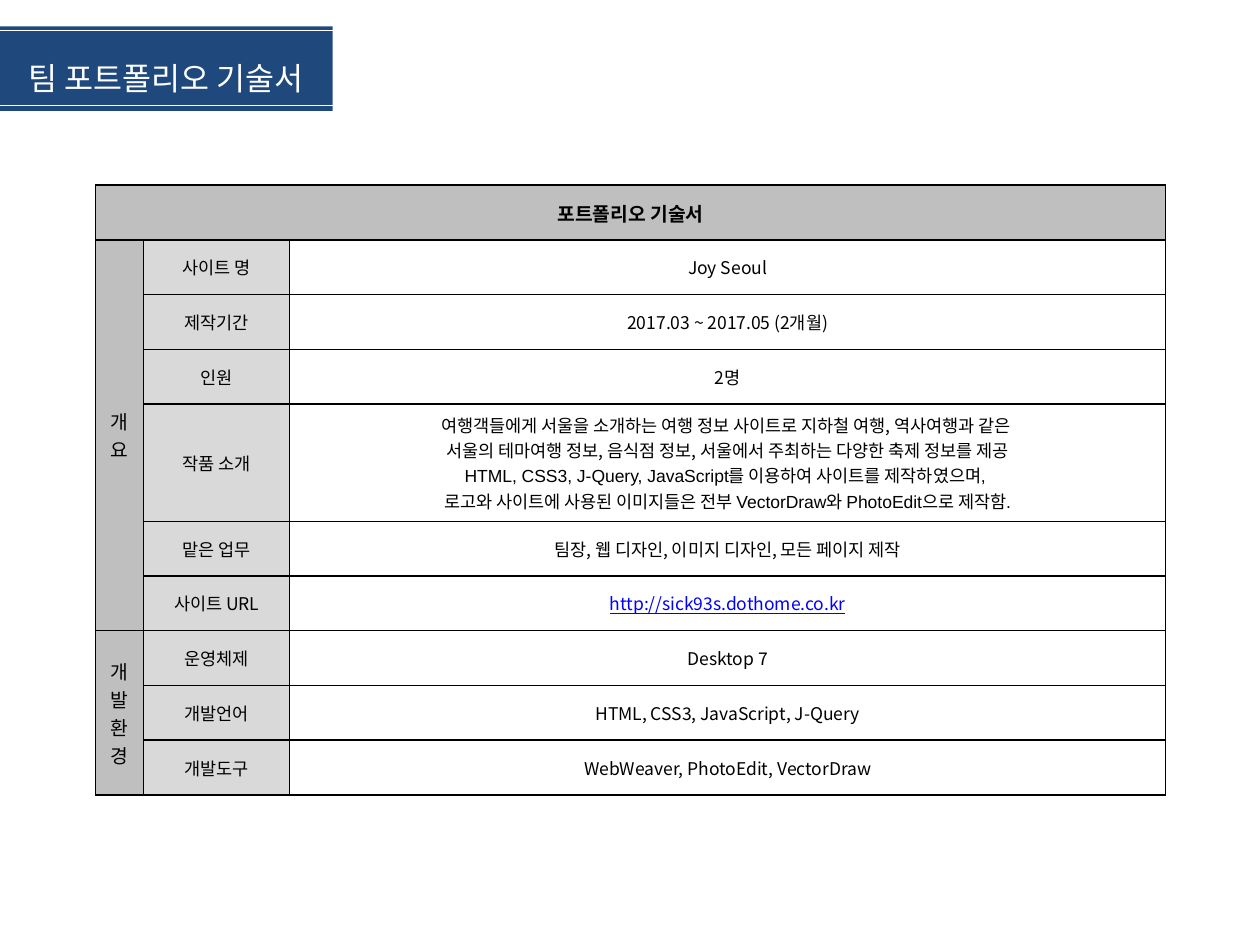
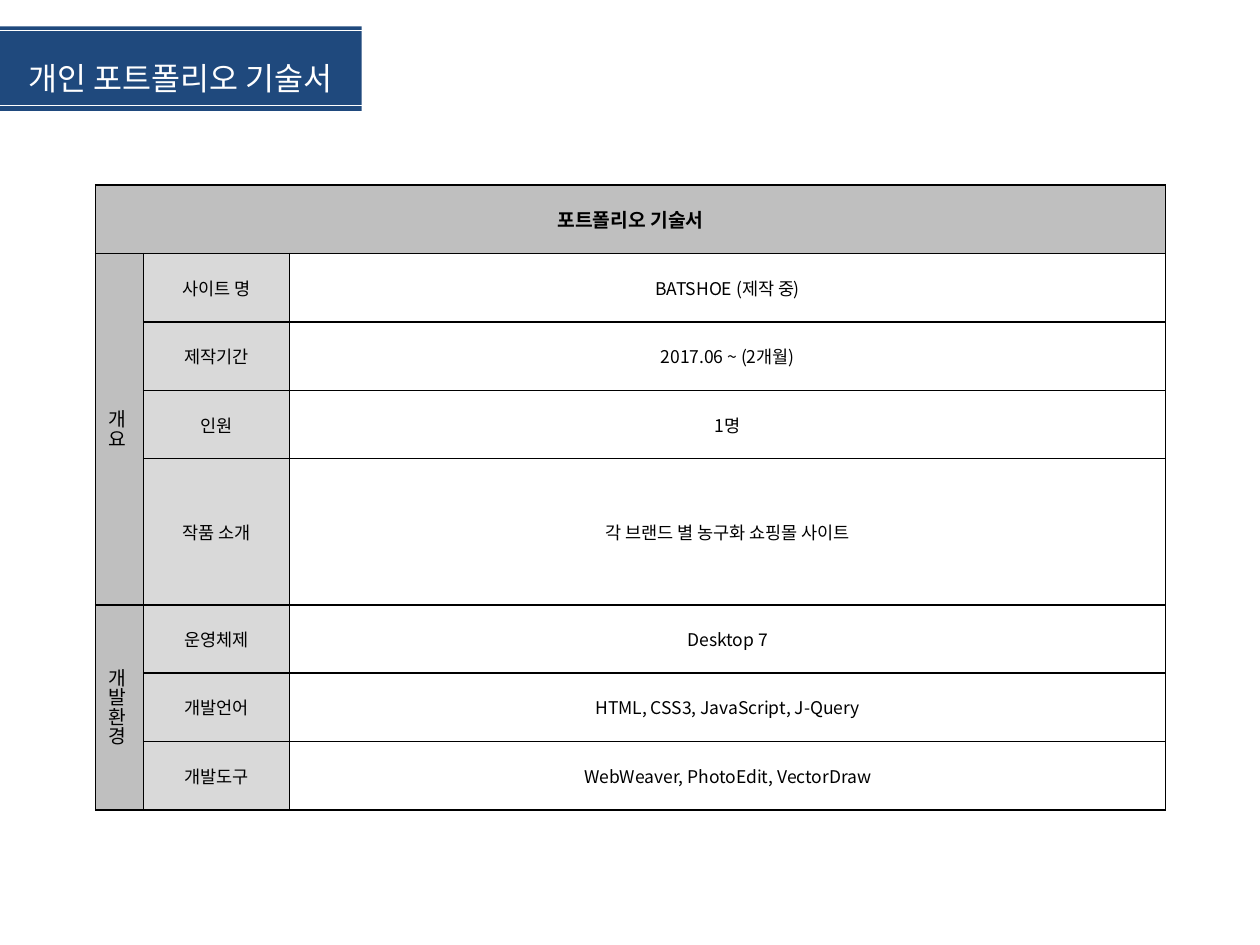
from lxml import etree
from pptx import Presentation
from pptx.dml.color import RGBColor
from pptx.enum import shapes, text
from pptx.oxml import parse_xml
from pptx.oxml.ns import nsdecls, qn
from pptx.util import Inches, Pt

COLORS = {"navy": "1F497D", "white": "FFFFFF", "black": "000000",
          "group": "BFBFBF", "label": "D9D9D9", "link": "0000FF"}
KOREAN = "Noto Sans CJK KR"
HEADING = "포트폴리오 기술서"
ENVIRONMENT = ("개발환경", [
    ("운영체제", ["Desktop 7"]),
    ("개발언어", ["HTML, CSS3, JavaScript, J-Query"]),
    ("개발도구", ["WebWeaver, PhotoEdit, VectorDraw"]),
])

PAGES = [
    {"title": "팀 포트폴리오 기술서", "band": 2.64, "height": 4.84, "intro": 0.93,
     "groups": [("개요", [
         ("사이트 명", ["Joy Seoul"]),
         ("제작기간", ["2017.03 ~ 2017.05 (2개월)"]),
         ("인원", ["2명"]),
         ("작품 소개", [
             "여행객들에게 서울을 소개하는 여행 정보 사이트로 지하철 여행, 역사여행과 같은 \n"
             "서울의 테마여행 정보, 음식점 정보, 서울에서 주최하는 다양한 축제 정보를 제공",
             "HTML, CSS3, J-Query, JavaScript를 이용하여 사이트를 제작하였으며, ",
             "로고와 사이트에 사용된 이미지들은 전부 VectorDraw와 PhotoEdit으로 제작함."]),
         ("맡은 업무", ["팀장, 웹 디자인, 이미지 디자인, 모든 페이지 제작"]),
         ("사이트 URL", ["http://sick93s.dothome.co.kr"]),
     ]), ENVIRONMENT]},
    {"title": "개인 포트폴리오 기술서", "band": 2.87, "height": 4.96, "intro": 1.16,
     "groups": [("개요", [
         ("사이트 명", ["BATSHOE (제작 중)"]),
         ("제작기간", ["2017.06 ~ (2개월)"]),
         ("인원", ["1명"]),
         ("작품 소개", ["각 브랜드 별 농구화 쇼핑몰 사이트"]),
     ]), ENVIRONMENT]},
]


def write(paragraph, words, size, color="black", latin=KOREAN, bold=False):
    paragraph.alignment = text.PP_ALIGN.CENTER
    for number, line in enumerate(words.split("\n")):
        if number:
            paragraph.add_line_break()
        run = paragraph.add_run()
        run.text = line
        run.font.size = Pt(size)
        run.font.bold = bold
        run.font.name = latin
        run.font.color.rgb = RGBColor.from_string(COLORS[color])
        run.font.underline = True if color == "link" else None
        etree.SubElement(run.font._element, qn("a:ea"), typeface=KOREAN)


def fill_cell(cell, paragraphs, fill=None, size=10, bold=False, vertical=False):
    cell.vertical_anchor = text.MSO_ANCHOR.MIDDLE
    cell.margin_left = cell.margin_right = Inches(0.11)
    cell.margin_top = cell.margin_bottom = Inches(0.06)
    if fill:
        cell.fill.solid()
        cell.fill.fore_color.rgb = RGBColor.from_string(COLORS[fill])
    else:
        cell.fill.background()
    if vertical:
        cell._tc.get_or_add_tcPr().set("vert", "eaVert")
    for number, words in enumerate(paragraphs):
        frame = cell.text_frame
        paragraph = frame.add_paragraph() if number else frame.paragraphs[0]
        latin = "Arial" if bold or number else KOREAN
        color = "link" if words.startswith("http") else "black"
        write(paragraph, words, size, color, latin, bold)


prs = Presentation()
prs.slide_width, prs.slide_height = Inches(10), Inches(7.5)

for page in PAGES:
    slide = prs.slides.add_slide(prs.slide_layouts[5])
    band = slide.shapes.title
    band.left, band.top = Inches(0), Inches(0.21)
    band.width, band.height = Inches(page["band"]), Inches(0.67)
    band.fill.solid()
    band.fill.fore_color.rgb = RGBColor.from_string(COLORS["navy"])
    band.text_frame.auto_size = text.MSO_AUTO_SIZE.NONE
    band.text_frame.vertical_anchor = text.MSO_ANCHOR.MIDDLE
    band.text_frame.paragraphs[0].line_spacing = 1.5
    write(band.text_frame.paragraphs[0], page["title"], 18, "white")

    for y in (0.24, 0.84):
        rule = slide.shapes.add_connector(shapes.MSO_CONNECTOR.STRAIGHT, Inches(0), Inches(y),
                                          Inches(page["band"]), Inches(y))
        rule.line.color.rgb = RGBColor.from_string(COLORS["white"])
        rule.line.width = Pt(0.75)
        etree.SubElement(rule._element.spPr, qn("a:effectLst"))

    row_count = 1 + sum(len(entries) for _, entries in page["groups"])
    table = slide.shapes.add_table(row_count, 3, Inches(0.76), Inches(1.47),
                                   Inches(8.49), Inches(page["height"])).table
    table.first_row = table.horz_banding = False
    for column, width in zip(table.columns, (0.38, 1.16, 6.95)):
        column.width = Inches(width)
    for row in table.rows:
        row.height = Inches((page["height"] - page["intro"]) / (row_count - 1))

    table.cell(0, 0).merge(table.cell(0, 2))
    fill_cell(table.cell(0, 0), [HEADING], "group", 11, bold=True)
    row = 1
    for group, entries in page["groups"]:
        table.cell(row, 0).merge(table.cell(row + len(entries) - 1, 0))
        fill_cell(table.cell(row, 0), [group], "group", 11, vertical=True)
        for label, details in entries:
            fill_cell(table.cell(row, 1), [label], "label")
            fill_cell(table.cell(row, 2), details)
            if label == "작품 소개":
                table.rows[row].height = Inches(page["intro"])
            row += 1

    for cell in table.iter_cells():
        properties = cell._tc.get_or_add_tcPr()
        for position, side in enumerate(("lnL", "lnR", "lnT", "lnB")):
            properties.insert(position, parse_xml(
                f'<a:{side} {nsdecls("a")} w="{Pt(1)}"><a:solidFill>'
                f'<a:srgbClr val="{COLORS["black"]}"/></a:solidFill></a:{side}>'))

prs.save("out.pptx")
